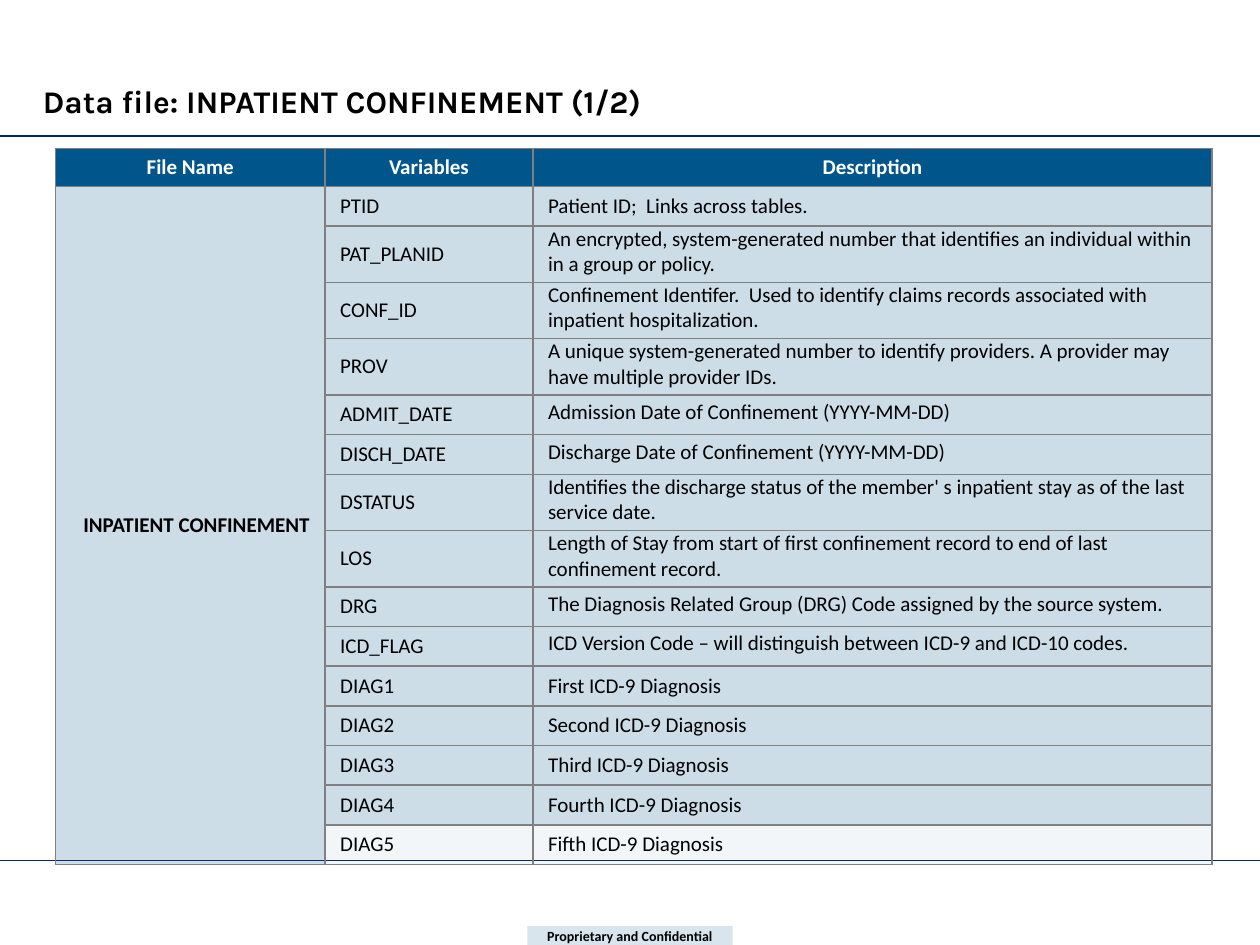
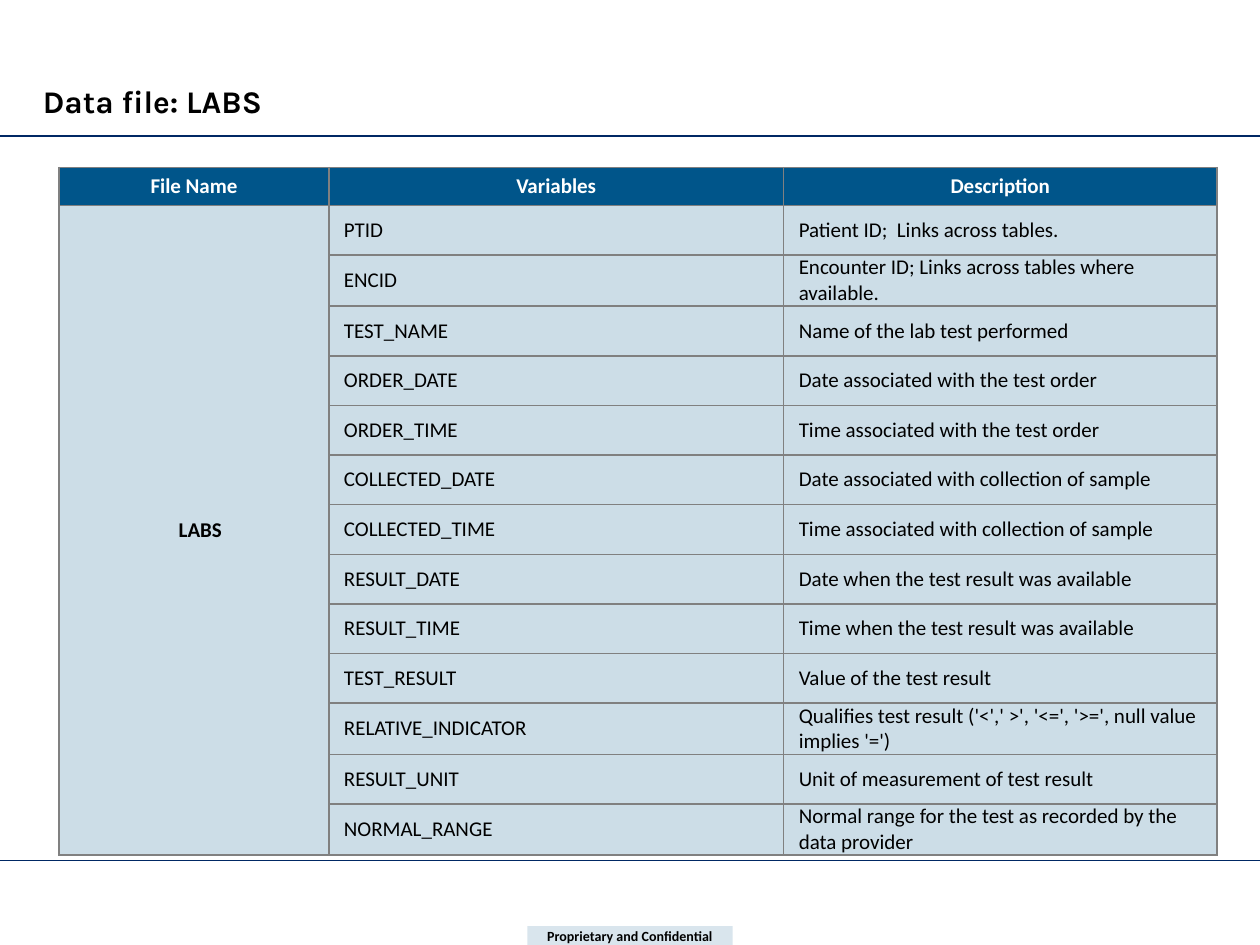
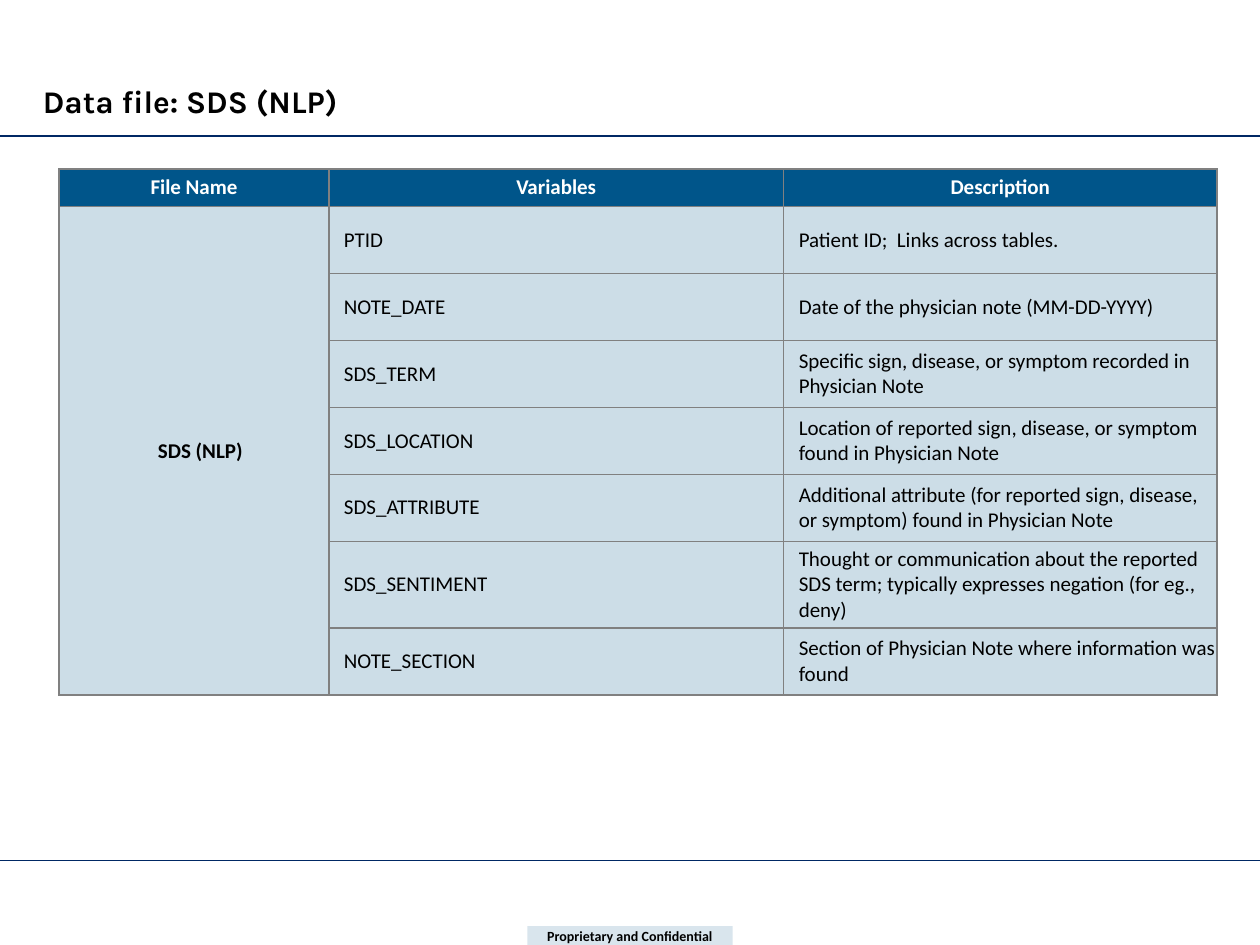
from lxml.etree import SubElement
from pptx import Presentation
from pptx.dml.color import RGBColor as RGB
from pptx.enum.shapes import MSO_CONNECTOR as LINK, MSO_SHAPE as SHAPE
from pptx.enum.text import MSO_ANCHOR as ANCHOR, MSO_AUTO_SIZE as FIT, PP_ALIGN as ALIGN
from pptx.oxml import parse_xml
from pptx.oxml.ns import nsdecls, qn
from pptx.util import Inches, Pt

HUE = {"blue": "00558A", "navy": "002864", "gray": "808080", "black": "000000", "white": "FFFFFF"}
WIDE, HIGH = 10, 7.5
HEAD = 0.3
RULES = (1.08, 6.83)
PAD = 0.12
LABELS = ("File Name", "Variables", "Description")

STAY = [
    ("PTID", "Patient ID;  Links across tables."),
    ("PAT_PLANID", "An encrypted, system-generated number that identifies an individual "
                   "within in a group or policy."),
    ("CONF_ID", "Confinement Identifer.  Used to identify claims records associated with "
                "inpatient hospitalization."),
    ("PROV", "A unique system-generated number to identify providers. A provider may have "
             "multiple provider IDs."),
    ("ADMIT_DATE", "Admission Date of Confinement (YYYY-MM-DD)"),
    ("DISCH_DATE", "Discharge Date of Confinement (YYYY-MM-DD)"),
    ("DSTATUS", "Identifies the discharge status of the member' s inpatient stay as of the "
                "last service date."),
    ("LOS", "Length of Stay from start of first confinement record to end of last "
            "confinement record."),
    ("DRG", "The Diagnosis Related Group (DRG) Code assigned by the source system."),
    ("ICD_FLAG", "ICD Version Code – will distinguish between ICD-9 and ICD-10 codes."),
    ("DIAG1", "First ICD-9 Diagnosis"),
    ("DIAG2", "Second ICD-9 Diagnosis"),
    ("DIAG3", "Third ICD-9 Diagnosis"),
    ("DIAG4", "Fourth ICD-9 Diagnosis"),
    ("DIAG5", "Fifth ICD-9 Diagnosis"),
]
LABS = [
    ("PTID", "Patient ID;  Links across tables."),
    ("ENCID", "Encounter ID; Links across tables where available."),
    ("TEST_NAME", "Name of the lab test performed"),
    ("ORDER_DATE", "Date associated with the test order"),
    ("ORDER_TIME", "Time associated with the test order"),
    ("COLLECTED_DATE", "Date associated with collection of sample"),
    ("COLLECTED_TIME", "Time associated with collection of sample"),
    ("RESULT_DATE", "Date when the test result was available"),
    ("RESULT_TIME", "Time when the test result was available"),
    ("TEST_RESULT", "Value of the test result"),
    ("RELATIVE_INDICATOR", "Qualifies test result ('<',' >', '<=', '>=', null value implies '=')"),
    ("RESULT_UNIT", "Unit of measurement of test result"),
    ("NORMAL_RANGE", "Normal range for the test as recorded by the data provider"),
]
NOTES = [
    ("PTID", "Patient ID;  Links across tables."),
    ("NOTE_DATE", "Date of the physician note (MM-DD-YYYY)"),
    ("SDS_TERM", "Specific sign, disease, or symptom recorded in Physician Note"),
    ("SDS_LOCATION", "Location of reported sign, disease, or symptom found in Physician Note"),
    ("SDS_ATTRIBUTE", "Additional attribute (for reported sign, disease, or symptom) found in "
                      "Physician Note"),
    ("SDS_SENTIMENT", "Thought or communication about the reported SDS term; typically "
                      "expresses negation (for eg., deny)"),
    ("NOTE_SECTION", "Section of Physician Note where information was found"),
]


def rgb(name):
    return RGB.from_string(HUE[name])


def style(par, size, font="Calibri", hue="black", bold=True, align=ALIGN.LEFT):
    par.alignment = align
    par.font.name, par.font.size, par.font.bold = font, Pt(size), bold
    par.font.color.rgb = rgb(hue)


def paint(item, node, share=100):
    """Fill a shape or cell with blue at the given percentage of opacity."""
    item.fill.solid()
    item.fill.fore_color.rgb = rgb("blue")
    if share < 100:
        tint = node.find(qn("a:solidFill")).find(qn("a:srgbClr"))
        SubElement(tint, qn("a:alpha"), val=str(share * 1000))


def inset(item, left=0, top=0, right=0, bottom=0):
    item.margin_left, item.margin_top = Inches(left), Inches(top)
    item.margin_right, item.margin_bottom = Inches(right), Inches(bottom)


def border(cell):
    props = cell._tc.get_or_add_tcPr()
    for spot, side in enumerate("LRTB"):
        props.insert(spot, parse_xml(
            f'<a:ln{side} {nsdecls("a")} w="{Pt(1)}"><a:solidFill>'
            f'<a:srgbClr val="{HUE["gray"]}"/></a:solidFill></a:ln{side}>'))


def rule(slide, y):
    line = slide.shapes.add_connector(LINK.STRAIGHT, 0, Inches(y), Inches(WIDE), Inches(y))
    line.line.color.rgb, line.line.width = rgb("navy"), Pt(0.75)
    SubElement(line.element.spPr, qn("a:effectLst"))
    return line


def badge(slide):
    wide, high = 1.63, 0.15
    box = slide.shapes.add_shape(SHAPE.RECTANGLE, Inches((WIDE - wide) / 2),
                                 Inches(HIGH - high), Inches(wide), Inches(high))
    box.shadow.inherit = False
    box.line.fill.background()
    paint(box, box.element.spPr, 15)
    frame = box.text_frame
    frame.word_wrap, frame.vertical_anchor = True, ANCHOR.TOP
    inset(frame, 0.01, 0.01, 0.01, 0.01)
    frame.text = "Proprietary and Confidential"
    style(frame.paragraphs[0], 8, align=ALIGN.CENTER)
    return box


def frame_up(layout):
    """Set the title's place on the layout and clear its other placeholders."""
    for holder in list(layout.placeholders):
        if holder.placeholder_format.idx:
            layout.shapes.element.remove(holder.element)
    title = layout.placeholders[0]
    title.left, title.top = Inches(0.24), Inches(0.6)
    title.width, title.height = Inches(9.5), Inches(0.4)
    title.text_frame.vertical_anchor = ANCHOR.BOTTOM


def share(slide, layout):
    """Draw the rules and badge, then move them to the layout for every slide."""
    for part in [rule(slide, y) for y in RULES] + [badge(slide)]:
        layout.shapes.element.append(part.element)


def add_page(deck, layout, name):
    slide = deck.slides.add_slide(layout)
    frame = slide.shapes.title.text_frame
    frame.text = f"Data file: {name}"
    frame.auto_size = FIT.NONE
    style(frame.paragraphs[0], 18, "Karla")
    return slide


def put(cell, text, hue="black", bold=True, align=ALIGN.CENTER):
    cell.text = text
    cell.vertical_anchor = ANCHOR.MIDDLE
    style(cell.text_frame.paragraphs[0], 12, hue=hue, bold=bold, align=align)


def grid(slide, name, rows, spot, cols, high, pads=None, pale=()):
    """Tabulate rows over a body `high` inches tall; pads(row, col) gives top and bottom insets."""
    left, top = spot
    table = slide.shapes.add_table(len(rows) + 1, len(cols), Inches(left), Inches(top),
                                   Inches(sum(cols)), Inches(HEAD + high)).table
    table.first_row = table.horz_banding = False
    for col, wide in zip(table.columns, cols):
        col.width = Inches(wide)
    for num, row in enumerate(table.rows):
        row.height = Inches(high / len(rows) if num else HEAD)
        for col, cell in enumerate(row.cells):
            tint = 5 if num in pale and col else 20
            paint(cell, cell._tc.get_or_add_tcPr(), tint if num else 100)
            border(cell)
            inset(cell)
            if not num:
                put(cell, LABELS[col], "white")
            elif col:
                above, below = pads(num, col) if pads else (0, 0)
                inset(cell, PAD, above, 0, below)
                put(cell, rows[num - 1][col - 1], bold=False, align=ALIGN.LEFT)
    file = table.cell(1, 0)
    file.merge(table.cell(len(rows), 0))
    inset(file, 0.1)
    put(file, name)


def main():
    deck = Presentation()
    deck.slide_width, deck.slide_height = Inches(WIDE), Inches(HIGH)
    layout = deck.slide_layouts[5]
    frame_up(layout)

    page = add_page(deck, layout, "INPATIENT CONFINEMENT (1/2)")
    share(page, layout)
    grid(page, "INPATIENT CONFINEMENT", STAY, (0.44, 1.18), (2.14, 1.65, 5.39), 4.73,
         lambda row, col: (0, 0.04 if col == 2 and 2 <= row <= 10 else 0), pale=(15,))

    cols = (2.14, 3.61, 3.44)
    page = add_page(deck, layout, "LABS")
    grid(page, "LABS", LABS, (0.47, 1.33), cols, 5.12)

    page = add_page(deck, layout, "SDS (NLP)")
    grid(page, "SDS (NLP)", NOTES, (0.47, 1.34), cols, 3.72, lambda row, col: (0.04, 0.04))
    deck.save("out.pptx")


if __name__ == "__main__":
    main()
